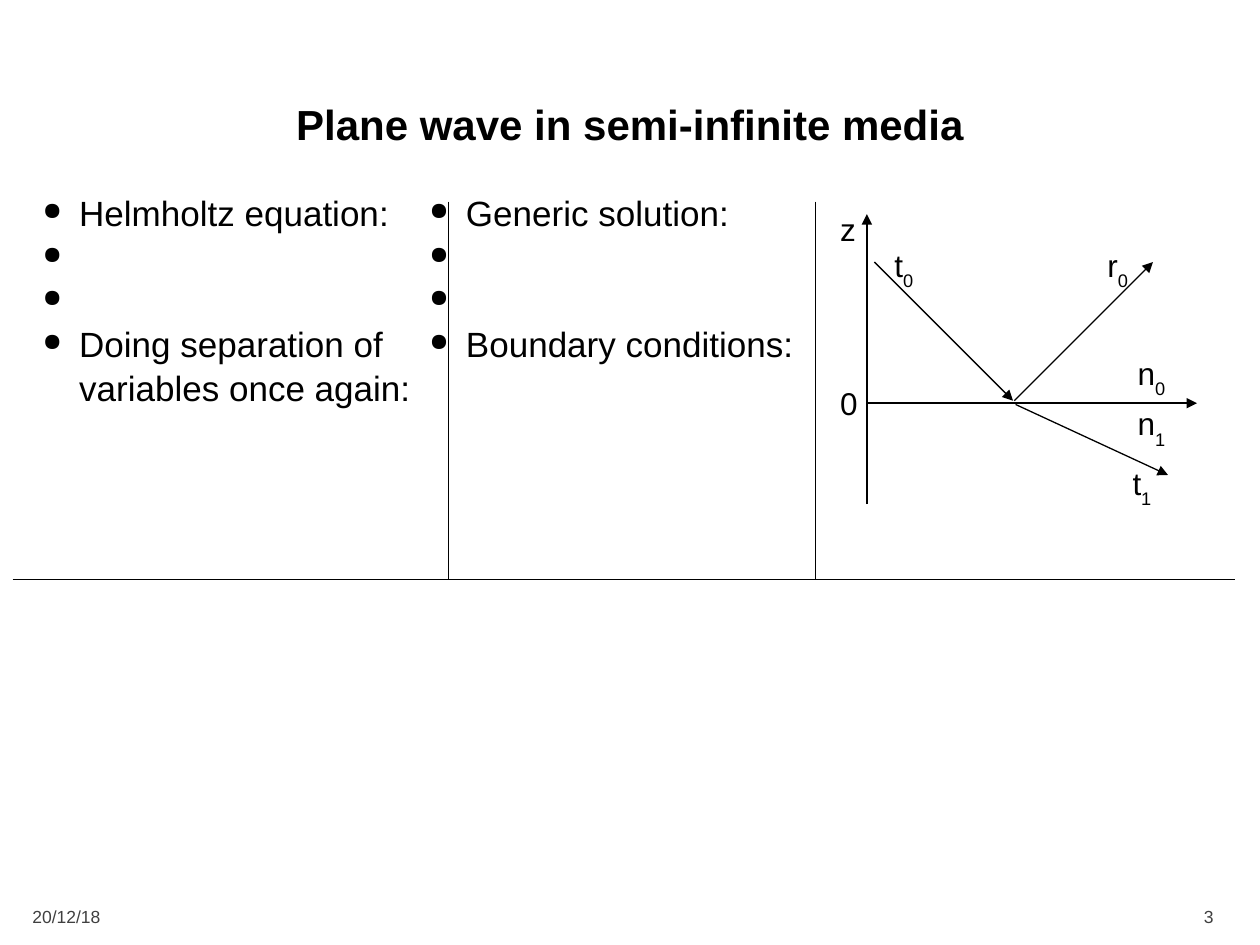
"""Build the slide on plane waves in semi-infinite media."""
from lxml.etree import SubElement
from pptx import Presentation
from pptx.dml.color import RGBColor
from pptx.enum.shapes import MSO_CONNECTOR as Connector
from pptx.enum.text import MSO_ANCHOR as Anchor, PP_ALIGN as Align
from pptx.oxml.ns import qn
from pptx.util import Inches, Pt

COLORS = {"ink": "000000", "footer": "404040"}
WIDTH, HEIGHT = 10, 7.5
COLUMNS, ROWS = 100, 75

TITLE = "Plane wave in semi-infinite media"
DATE, PAGE = "20/12/18", "3"
EQUATIONS = [
    (2.4, ["Helmholtz equation:", " ", " ", "Doing separation of variables once again:"]),
    (33.1, ["Generic solution:", " ", " ", "Boundary conditions:"]),
]
SYMBOLS = [
    ("z", "", (65.7, 16.2, 3, 3.8)),
    ("0", "", (65.7, 30, 3, 3.8)),
    ("n", "0", (89.3, 27.6, 4.8, 6.6)),
    ("n", "1", (89.3, 31.6, 4.8, 6.6)),
    ("t", "0", (70, 19, 4, 4.4)),
    ("t", "1", (88.9, 36.3, 4, 4.4)),
    ("r", "0", (86.9, 19, 4, 4.4)),
]
RAYS = [
    ((69.4, 20.8), (80.4, 31.8)),
    ((80.5, 31.8), (91.5, 20.8)),
    ((80.6, 32.1), (92.7, 37.7)),
]
Z_AXIS = ((68.8, 40), (68.8, 17))
INTERFACE = ((68.8, 32), (95, 32))
DIVIDER_TOP, DIVIDER_BOTTOM = 16, 46
DIVIDERS = [((x, DIVIDER_TOP), (x, DIVIDER_BOTTOM)) for x in (35.6, 64.7)]
DIVIDERS.append(((1, DIVIDER_BOTTOM), (98, DIVIDER_BOTTOM)))


def across(column):
    return Inches(column * WIDTH / COLUMNS)


def down(row):
    return Inches(row * HEIGHT / ROWS)


def add_bullet(paragraph):
    props = paragraph._p.get_or_add_pPr()
    props.set("marL", str(Inches(0.29)))
    props.set("indent", str(-Inches(0.29)))
    SubElement(SubElement(props, qn("a:buClr")), qn("a:srgbClr"), val=COLORS["ink"])
    SubElement(props, qn("a:buSzPct"), val="70000")
    SubElement(props, qn("a:buChar"), char="●")


def add_text(slide, lines, place, *, size, subscript="", color="ink", bold=False,
             align=Align.LEFT, anchor=Anchor.TOP, bullets=False, spacing=None):
    left, top, width, height = place
    frame = slide.shapes.add_textbox(
        across(left), down(top), across(width), down(height)).text_frame
    frame.word_wrap = True
    frame.vertical_anchor = anchor
    for index, line in enumerate(lines):
        paragraph = frame.paragraphs[0] if index == 0 else frame.add_paragraph()
        paragraph.alignment = align
        if spacing:
            paragraph.line_spacing = spacing
        if bullets:
            add_bullet(paragraph)
        for words, baseline in ((line, None), (subscript, "-33000")):
            if not words:
                continue
            run = paragraph.add_run()
            run.text = words
            run.font.name, run.font.size, run.font.bold = "Arial", Pt(size), bold
            run.font.color.rgb = RGBColor.from_string(COLORS[color])
            if baseline:
                run.font._element.set("baseline", baseline)


def add_line(slide, ends, *, weight=0.75, arrow=False):
    (x1, y1), (x2, y2) = ends
    connector = slide.shapes.add_connector(
        Connector.STRAIGHT, across(x1), down(y1), across(x2), down(y2))
    connector.line.width = Pt(weight)
    connector.line.color.rgb = RGBColor.from_string(COLORS["ink"])
    if arrow:
        SubElement(connector.line._get_or_add_ln(), qn("a:tailEnd"), type="triangle")
    SubElement(connector._element.spPr, qn("a:effectLst"))


def main():
    deck = Presentation()
    deck.slide_width, deck.slide_height = Inches(WIDTH), Inches(HEIGHT)
    slide = deck.slides.add_slide(deck.slide_layouts[6])

    add_text(slide, [TITLE], (2.1, 7.3, 95.8, 6.5), size=24, bold=True, align=Align.CENTER)
    for left, lines in EQUATIONS:
        add_text(slide, lines, (left, 14.6, 33.7, 34.4), size=20, bullets=True, spacing=1.04)
    for words, left, width, align in ((DATE, 1.6, 10.3, Align.LEFT),
                                      (PAGE, 89.2, 8.1, Align.RIGHT)):
        add_text(slide, [words], (left, 71.1, width, 3.3), size=10, color="footer",
                 align=align, anchor=Anchor.MIDDLE)

    for ends in RAYS + [Z_AXIS]:
        add_line(slide, ends, arrow=True)
    add_line(slide, INTERFACE, weight=1, arrow=True)
    for letter, index, place in SYMBOLS:
        add_text(slide, [letter], place, size=18, subscript=index)
    for ends in DIVIDERS:
        add_line(slide, ends)

    deck.save("out.pptx")


if __name__ == "__main__":
    main()
